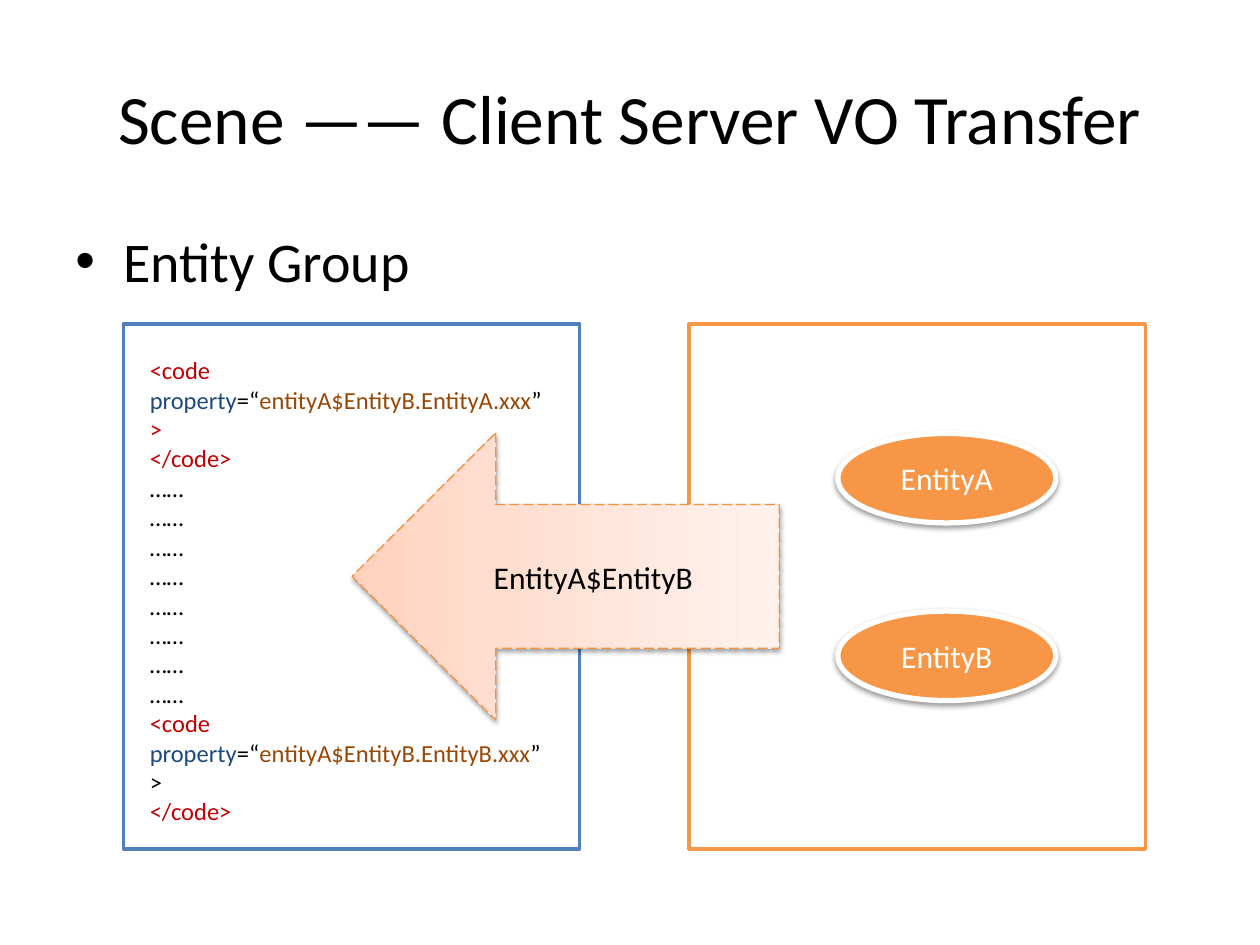
from lxml import etree
from pptx import Presentation
from pptx.dml.color import RGBColor
from pptx.enum.dml import MSO_LINE
from pptx.enum.shapes import MSO_SHAPE
from pptx.enum.text import MSO_ANCHOR, PP_ALIGN
from pptx.oxml import parse_xml
from pptx.oxml.ns import nsdecls, qn
from pptx.util import Inches, Pt

RECT, OVAL, DOWN_ARROW = MSO_SHAPE.RECTANGLE, MSO_SHAPE.OVAL, MSO_SHAPE.DOWN_ARROW
LEFT, CENTER = PP_ALIGN.LEFT, PP_ALIGN.CENTER
TOP, MIDDLE = MSO_ANCHOR.TOP, MSO_ANCHOR.MIDDLE
LONG_DASH = MSO_LINE.LONG_DASH

BLACK = RGBColor(0x00, 0x00, 0x00)
WHITE = RGBColor(0xFF, 0xFF, 0xFF)
BLUE = RGBColor(0x4F, 0x81, 0xBD)
NAVY = RGBColor(0x1F, 0x49, 0x7D)
ORANGE = RGBColor(0xF7, 0x96, 0x46)
ARROW_EDGE = RGBColor(0xF6, 0x92, 0x40)
RED = RGBColor(0xC0, 0x00, 0x00)
BROWN = RGBColor(0x98, 0x48, 0x07)

prs = Presentation()
prs.slide_width, prs.slide_height = Inches(10), Inches(7.5)
slide = prs.slides.add_slide(prs.slide_layouts[6])
shapes = slide.shapes


def write(shape, paragraphs, size, align=LEFT, anchor=TOP, wrap=True):
    frame = shape.text_frame
    frame.word_wrap = wrap
    frame.vertical_anchor = anchor
    for i, runs in enumerate(paragraphs):
        para = frame.paragraphs[0] if i == 0 else frame.add_paragraph()
        para.alignment = align
        for text, color in runs:
            run = para.add_run()
            run.text = text
            run.font.name = "Calibri"
            run.font.size = Pt(size)
            run.font.color.rgb = color
    return frame


def add_figure(kind, box, fill, edge, width, shadow=False):
    figure = shapes.add_shape(kind, *map(Inches, box))
    figure.fill.solid()
    figure.fill.fore_color.rgb = fill
    figure.line.color.rgb = edge
    figure.line.width = Pt(width)
    figure.shadow.inherit = False
    if shadow:
        effects = figure._element.spPr.find(qn("a:effectLst"))
        effects.append(parse_xml(
            f'<a:outerShdw {nsdecls("a")} blurRad="{Pt(3.1)}" dist="{Pt(1.6)}" '
            'dir="5400000" rotWithShape="0"><a:srgbClr val="000000">'
            '<a:alpha val="38000"/></a:srgbClr></a:outerShdw>'))
    return figure


title = shapes.add_textbox(Inches(0.5), Inches(0.3), Inches(9), Inches(1.25))
write(title, [[("Scene —— Client Server VO Transfer", BLACK)]], 39.6, CENTER, MIDDLE)

body = shapes.add_textbox(Inches(0.5), Inches(1.75), Inches(9), Inches(4.95))
heading = write(body, [[("Entity Group", BLACK)]], 32).paragraphs[0]
heading.space_before = Pt(6.4)
heading_props = heading._p.get_or_add_pPr()
heading_props.set("marL", str(Inches(0.38)))
heading_props.set("indent", str(-Inches(0.38)))
etree.SubElement(heading_props, qn("a:buFont")).set("typeface", "Arial")
etree.SubElement(heading_props, qn("a:buChar")).set("char", "•")

for left, edge in ((0.98, BLUE), (5.47, ORANGE)):
    add_figure(RECT, (left, 2.57, 3.62, 4.17), WHITE, edge, 2)

arrow = add_figure(DOWN_ARROW, (3.35, 2.88, 2.28, 3.39), WHITE, ARROW_EDGE, 0.75, True)
arrow.rotation = 90
arrow.line.dash_style = LONG_DASH
stops = "".join(
    f'<a:gs pos="{pos * 1000}"><a:srgbClr val="{color}"/></a:gs>'
    for pos, color in ((0, "FFD2BD"), (35, "FFDED0"), (100, "FFF2ED")))
arrow_props = arrow._element.spPr
arrow_props.replace(arrow_props.find(qn("a:solidFill")), parse_xml(
    f'<a:gradFill {nsdecls("a")} rotWithShape="1"><a:gsLst>{stops}</a:gsLst>'
    '<a:lin ang="16200000" scaled="1"/></a:gradFill>'))

for name, top in (("EntityA", 3.44), ("EntityB", 4.85)):
    entity = add_figure(OVAL, (6.65, top, 1.73, 0.71), ORANGE, WHITE, 3, True)
    write(entity, [[(name, WHITE)]], 18, CENTER, MIDDLE)

arrow_label = shapes.add_textbox(Inches(3.82), Inches(4.38), Inches(1.8), Inches(0.4))
write(arrow_label, [[("EntityA$EntityB", BLACK)]], 18, wrap=False)

code_blocks = [
    [[("<code ", RED)],
     [("property", NAVY), ("=“", BLACK), (f"entityA$EntityB.{name}.xxx", BROWN),
      ("”", BLACK), (">", bracket)],
     [("</code>", RED)]]
    for name, bracket in (("EntityA", RED), ("EntityB", BLACK))]
code = shapes.add_textbox(Inches(1.09), Inches(2.77), Inches(3.39), Inches(3.87))
write(code, code_blocks[0] + [[("……", BLACK)]] * 8 + code_blocks[1], 14)

prs.save("out.pptx")
